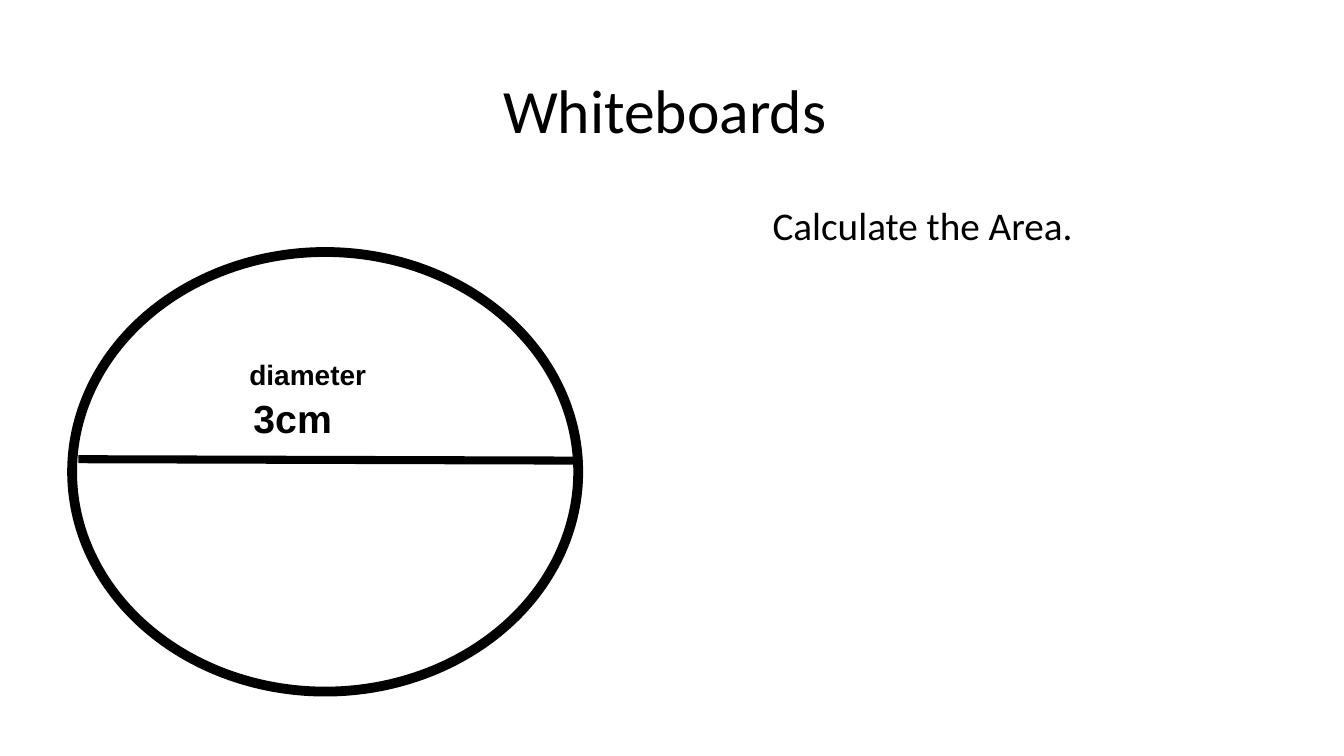
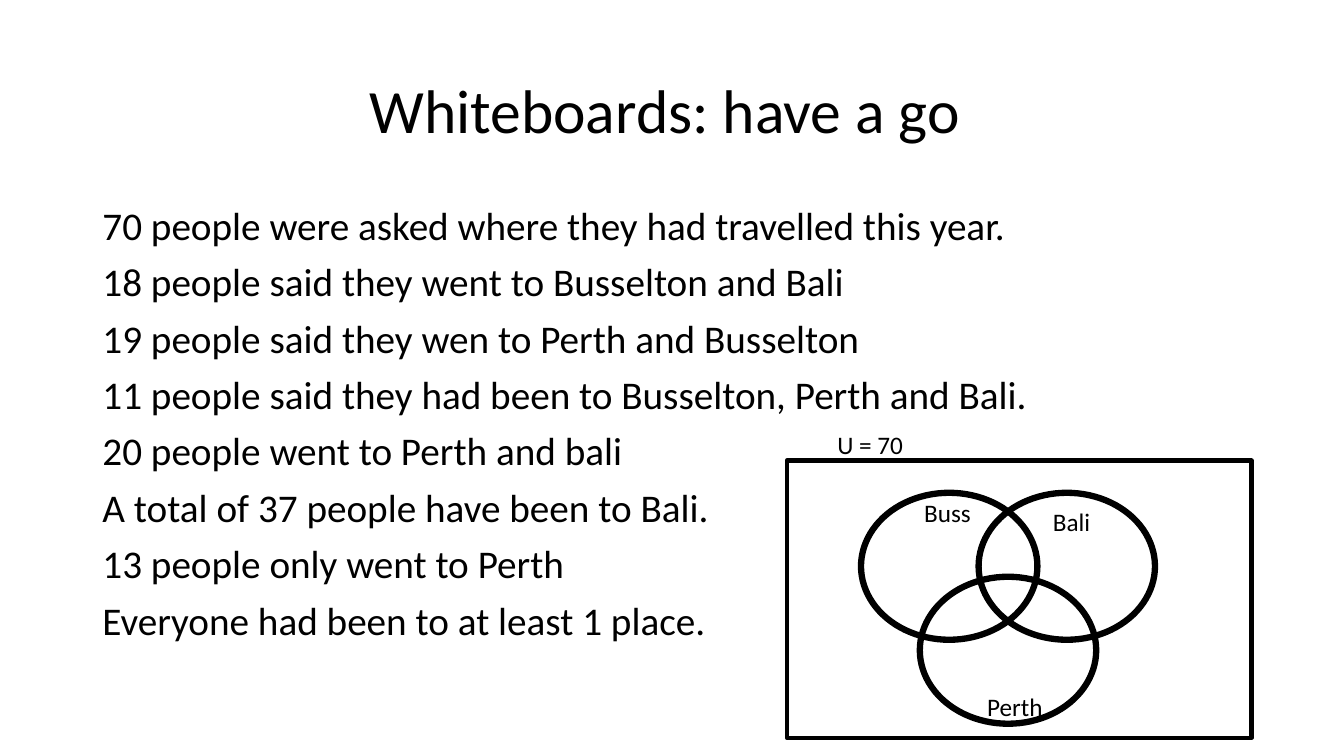
from pptx import Presentation
from pptx.dml.color import RGBColor
from pptx.enum.shapes import MSO_CONNECTOR, MSO_SHAPE
from pptx.enum.text import MSO_ANCHOR, MSO_AUTO_SIZE, PP_ALIGN
from pptx.oxml.ns import qn
from pptx.util import Pt
from lxml import etree

BLACK = RGBColor(0, 0, 0)
LEFT, CENTER = PP_ALIGN.LEFT, PP_ALIGN.CENTER
TOP, MIDDLE = MSO_ANCHOR.TOP, MSO_ANCHOR.MIDDLE
OVAL, RECTANGLE = MSO_SHAPE.OVAL, MSO_SHAPE.RECTANGLE
NO_FIT = MSO_AUTO_SIZE.NONE
STRAIGHT = MSO_CONNECTOR.STRAIGHT

TITLE_FONT = {"name": "Calibri", "size": Pt(44)}
BODY_FONT = {"name": "Calibri", "size": Pt(28)}
SET_FONT = {"name": "Calibri", "size": Pt(18)}
DIAMETER_FONT = {"name": "Arial", "size": Pt(20), "bold": True}
LENGTH_FONT = {"name": "Arial", "size": Pt(28), "bold": True}


def write(box, lines, font, align=LEFT, anchor=TOP, wrap=True, spacing=1.0, gap=0):
    """Fill a text box or placeholder with unbulleted paragraphs, gap points apart."""
    frame = box.text_frame
    frame.text = "\n".join(lines)
    frame.word_wrap, frame.auto_size, frame.vertical_anchor = wrap, NO_FIT, anchor
    for index, para in enumerate(frame.paragraphs):
        properties = para._p.get_or_add_pPr()
        properties.set("marL", "0")
        properties.set("indent", "0")
        etree.SubElement(properties, qn("a:buNone"))
        para.alignment, para.line_spacing = align, spacing
        para.space_before = Pt(gap if index else 0)
        for span in para.runs:
            for name, value in font.items():
                setattr(span.font, name, value)
            span.font.color.rgb = BLACK


def add_outline(page, kind, left, top, width, height, weight):
    shape = page.shapes.add_shape(kind, Pt(left), Pt(top), Pt(width), Pt(height))
    shape.shadow.inherit = False
    shape.fill.background()
    shape.line.color.rgb = BLACK
    shape.line.width = Pt(weight)


deck = Presentation()
deck.slide_width, deck.slide_height = Pt(960), Pt(540)
layout = deck.slide_layouts[1]

# Title, body lines, body left, body width, body alignment
slides = [
    ("Whiteboards ", ["Calculate the Area."], 424, 470, CENTER),
    ("Whiteboards: have a go ", [
        "70 people were asked where they had travelled this year.",
        "18 people said they went to Busselton and Bali",
        "19 people said they wen to Perth and Busselton",
        "11 people said they had been to Busselton, Perth and Bali.",
        "20 people went to Perth and bali",
        "A total of 37 people have been to Bali.",
        "13 people only went to Perth",
        "Everyone had been to at least 1 place.",
    ], 66, 727, LEFT),
]
pages = []
for heading, lines, body_left, body_width, body_align in slides:
    page = deck.slides.add_slide(layout)
    title, body = page.placeholders
    title.left, title.top, title.width, title.height = Pt(66), Pt(29), Pt(828), Pt(104)
    body.left, body.top, body.width, body.height = Pt(body_left), Pt(144), Pt(body_width), Pt(343)
    write(title, [heading], TITLE_FONT, CENTER, MIDDLE, spacing=0.9)
    write(body, lines, BODY_FONT, body_align, spacing=0.9, gap=10)
    pages.append(page)
circle_page, venn_page = pages

# Circle with its diameter
add_outline(circle_page, OVAL, 51.5, 180, 361.5, 314, 7)
diameter = circle_page.shapes.add_connector(STRAIGHT, Pt(56), Pt(328), Pt(410), Pt(329))
diameter.line.color.rgb = BLACK
diameter.line.width = Pt(5.75)
etree.SubElement(diameter._element.spPr, qn("a:effectLst"))

# Venn diagram: two sets side by side, the third centred below
set_left, set_top, set_step, set_drop = 615, 352, 84, 60
for column, row in [(0, 0), (1, 0), (0.5, 1)]:
    add_outline(venn_page, OVAL, set_left + column * set_step, set_top + row * set_drop,
                126, 105, 4.5)
add_outline(venn_page, RECTANGLE, 562, 329, 332, 198, 3)

labels = [
    (circle_page, "3cm", 174, 278, 199, 41, LENGTH_FONT, True),
    (circle_page, "diameter", 171, 252, 118, 32, DIAMETER_FONT, True),
    (venn_page, "Buss", 653, 352, 48, 29, SET_FONT, False),
    (venn_page, "Bali", 745, 358, 42, 29, SET_FONT, False),
    (venn_page, "Perth", 698, 490, 55, 29, SET_FONT, False),
    (venn_page, "U = 70", 591, 303, 62, 29, SET_FONT, False),
]
for page, text, left, top, width, height, font, wrap in labels:
    label = page.shapes.add_textbox(Pt(left), Pt(top), Pt(width), Pt(height))
    write(label, [text], font, wrap=wrap)

deck.save("out.pptx")
